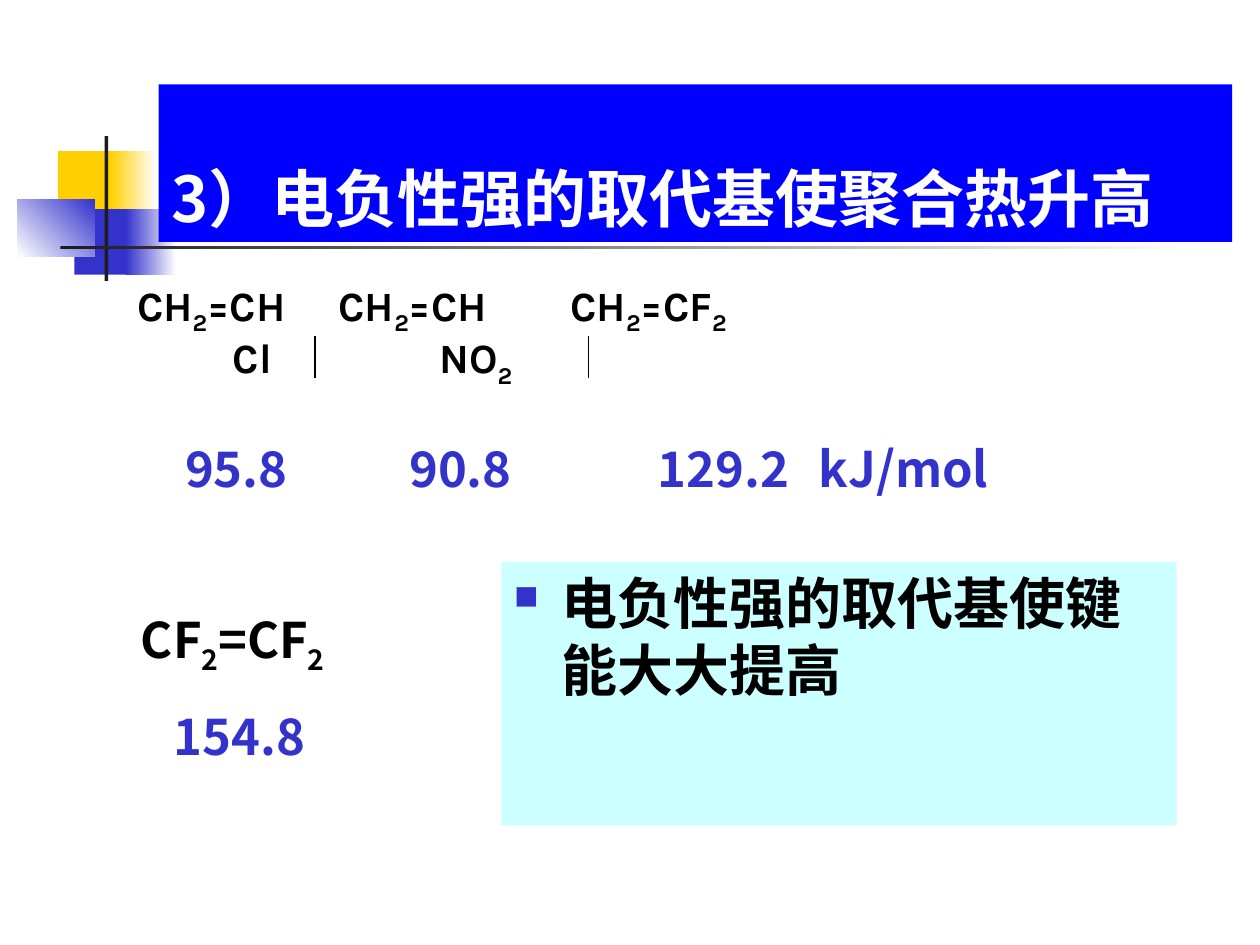
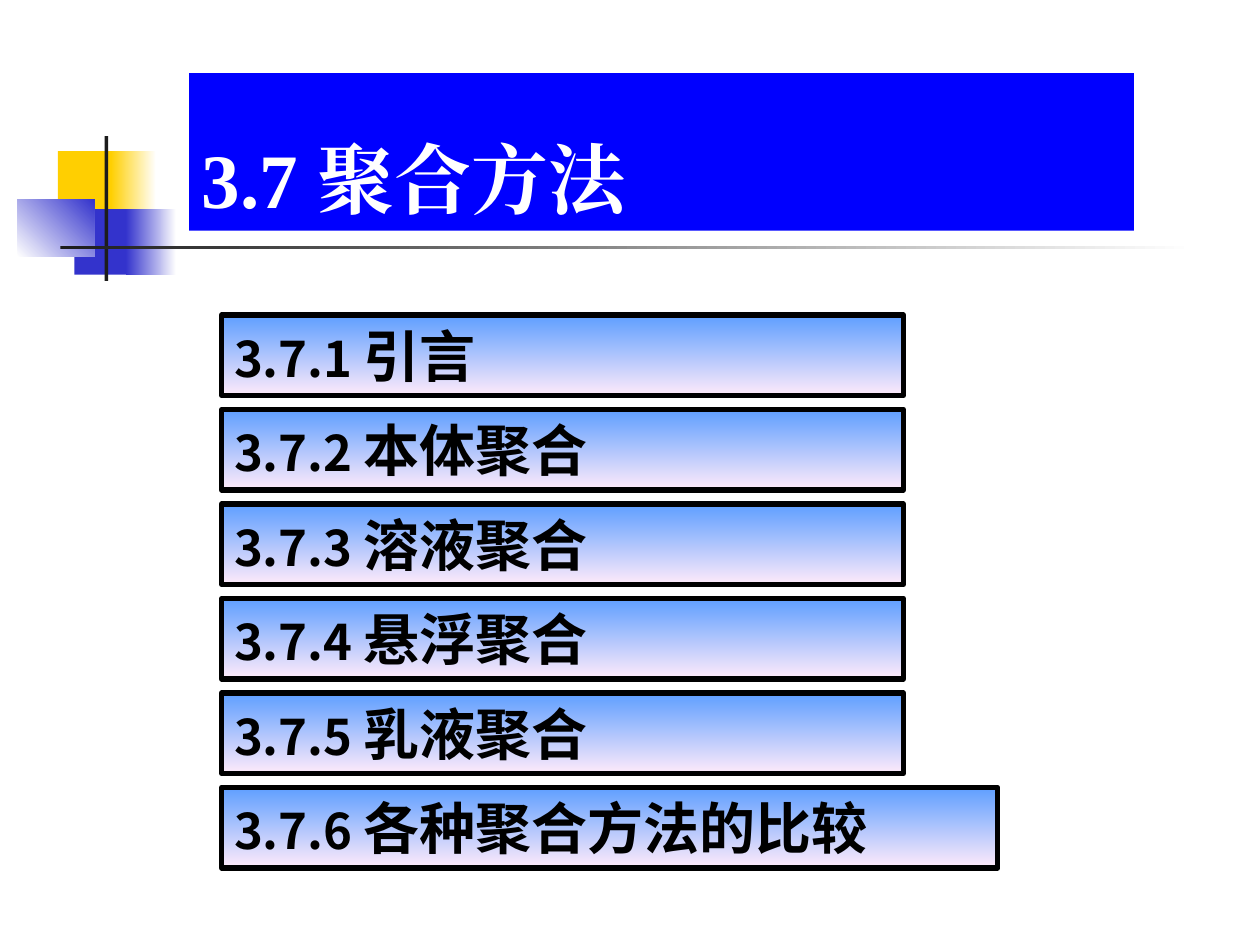
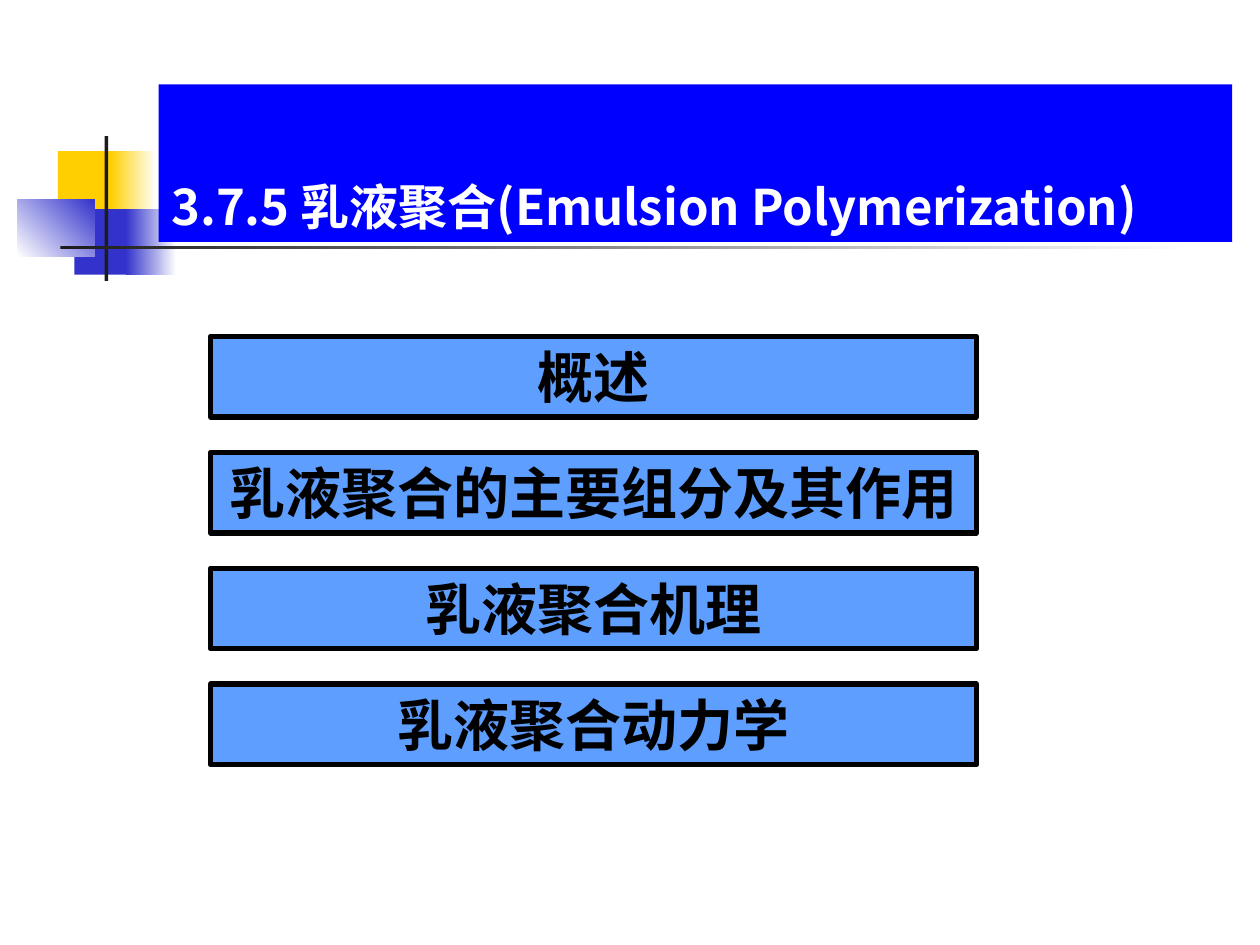
from dataclasses import dataclass

from lxml.etree import SubElement
from pptx import Presentation
from pptx.dml.color import RGBColor
from pptx.enum.shapes import MSO_CONNECTOR, MSO_SHAPE
from pptx.enum.text import MSO_ANCHOR, MSO_AUTO_SIZE, PP_ALIGN
from pptx.oxml.ns import qn
from pptx.util import Inches, Pt


@dataclass(frozen=True)
class Theme:
    white: str = "FFFFFF"
    black: str = "000000"
    charcoal: str = "1C1C1C"
    yellow: str = "FFCF01"
    indigo: str = "3333CC"
    title_blue: str = "0000FF"
    sky: str = "5E9EFF"
    blush: str = "FFEBFA"
    aqua: str = "CCFFFF"
    sans: str = "Noto Sans CJK SC"
    figures: str = "Noto Sans CJK JP"
    formula: str = "Karla"
    serif: str = "Times New Roman"
    formula_size: float = 23.8
    number_size: int = 28
    item_size: int = 32
    title_size: int = 36
    chapter_size: int = 44


theme = Theme()


def write(paragraph, text, size=theme.item_size, color=theme.black, font=theme.sans,
          align=PP_ALIGN.LEFT, before=0, line_spacing=None, tabs=()):
    """Add bold text to a paragraph; parts between bars are subscripts."""
    paragraph.alignment = align
    paragraph.space_before = Pt(before)
    if line_spacing:
        paragraph.line_spacing = line_spacing
    if tabs:
        tab_list = SubElement(paragraph._p.get_or_add_pPr(), qn("a:tabLst"))
        for position in tabs:
            SubElement(tab_list, qn("a:tab"), pos=str(Inches(position)), algn="l")
    for index, part in enumerate(text.split("|")):
        if not part:
            continue
        run = paragraph.add_run()
        run.text = part
        run.font.size = Pt(size)
        run.font.bold = True
        run.font.name = font
        run.font.color.rgb = RGBColor.from_string(color)
        SubElement(run.font._element, qn("a:ea"), typeface=font)
        if index % 2:
            run.font._element.set("baseline", "-25000")


def add_box(slide, left, top, width, height, colors, angle=0, border=None):
    """Add a rectangle filled with one colour or a two-colour gradient."""
    box = slide.shapes.add_shape(MSO_SHAPE.RECTANGLE, Inches(left), Inches(top),
                                 Inches(width), Inches(height))
    box.shadow.inherit = False
    if len(colors) == 1:
        box.fill.solid()
        box.fill.fore_color.rgb = RGBColor.from_string(colors[0])
    else:
        box.fill.gradient()
        box.fill.gradient_angle = angle
        for stop, color in zip(box.fill.gradient_stops, colors):
            stop.color.rgb = RGBColor.from_string(color)
    if border:
        box.line.color.rgb = RGBColor.from_string(theme.black)
        box.line.width = Pt(border)
    else:
        box.line.fill.background()
    box.text_frame.word_wrap = True
    box.text_frame.vertical_anchor = MSO_ANCHOR.TOP
    return box


presentation = Presentation()
presentation.slide_width = Inches(10)
presentation.slide_height = Inches(7.5)

# Slides with their title bands
wide_band = (1.26, 0.67, 8.52, 1.25)
chapter_band = (1.5, 0.58, 7.5, 1.25)
titles = [
    ("3）电负性强的取代基使聚合热升高", theme.title_size, theme.sans, wide_band),
    ("3.7 聚合方法", theme.chapter_size, theme.serif, chapter_band),
    ("3.7.5 乳液聚合(Emulsion Polymerization)", theme.number_size, theme.sans, wide_band),
]
for text, size, font, band in titles:
    slide = presentation.slides.add_slide(presentation.slide_layouts[5])
    title = slide.shapes.title
    title.left, title.top, title.width, title.height = map(Inches, band)
    title.fill.solid()
    title.fill.fore_color.rgb = RGBColor.from_string(theme.title_blue)
    title.text_frame.auto_size = MSO_AUTO_SIZE.NONE
    title.text_frame.vertical_anchor = MSO_ANCHOR.BOTTOM
    write(title.text_frame.paragraphs[0], text, size, theme.white, font)
heat_slide, methods_slide, emulsion_slide = presentation.slides

# Shared ornament, moved to the slide master
ornament = [
    (0.46, 1.2, 0.48, 0.52, [theme.yellow], 0),
    (0.88, 1.2, 0.36, 0.52, [theme.yellow, theme.white], 0),
    (0.59, 1.66, 0.46, 0.52, [theme.indigo], 0),
    (1, 1.66, 0.4, 0.52, [theme.indigo, theme.white], 0),
    (0.14, 1.58, 0.61, 0.46, [theme.white, theme.indigo], 45),
    (0.83, 1.08, 0.03, 1.15, [theme.charcoal], 0),
    (0.48, 1.95, 9, 0.03, [theme.charcoal, theme.white], 0),
]
master_tree = presentation.slide_master.shapes.element
for index, piece in enumerate(ornament):
    block = add_box(heat_slide, *piece)
    block.element.nvSpPr.cNvPr.set("id", str(100 + index))
    master_tree.insert(2 + index, block.element)

# Slide 1: monomer formulas and their heats of polymerization
formulas = heat_slide.shapes.add_textbox(Inches(0.58), Inches(2.25), Inches(8.83), Inches(1.25))
formula_rows = [
    ("\tCH|2|=CH\tCH|2|=CH\tCH|2|=CF|2|", 0, (0.41, 2.01, 3.85)),
    ("\tCl\tNO|2|", 7, (1.17, 2.81)),
]
heats = heat_slide.shapes.add_textbox(Inches(0.42), Inches(3.43), Inches(9.08), Inches(2.76))
heat_rows = [
    ("\t95.8\t90.8\t129.2\tkJ/mol", theme.indigo, 0, (0.95, 2.73, 4.7, 5.98)),
    ("\tCF|2|=CF|2|", theme.black, 64, (0.6,)),
    ("\t154.8", theme.indigo, 17.5, (0.86,)),
]
for box in (formulas, heats):
    box.text_frame.word_wrap = True
for index, (text, before, tabs) in enumerate(formula_rows):
    frame = formulas.text_frame
    paragraph = frame.add_paragraph() if index else frame.paragraphs[0]
    write(paragraph, text, theme.formula_size, font=theme.formula,
          before=before, line_spacing=0.7, tabs=tabs)
for index, (text, color, before, tabs) in enumerate(heat_rows):
    frame = heats.text_frame
    paragraph = frame.add_paragraph() if index else frame.paragraphs[0]
    write(paragraph, text, theme.number_size, color, theme.figures, before=before, tabs=tabs)

# Slide 1: bonds
for x in (2.5, 4.67):
    bond = heat_slide.shapes.add_connector(MSO_CONNECTOR.STRAIGHT, Inches(x), Inches(2.67),
                                           Inches(x), Inches(3))
    bond.line.color.rgb = RGBColor.from_string(theme.black)
    bond.line.width = Pt(0.75)
    SubElement(bond._element.spPr, qn("a:effectLst"))

# Slide 1: conclusion with a square bullet
conclusion = add_box(heat_slide, 3.98, 4.46, 5.36, 2.09, [theme.aqua])
paragraph = conclusion.text_frame.paragraphs[0]
properties = paragraph._p.get_or_add_pPr()
properties.set("marL", str(Inches(0.38)))
properties.set("indent", str(-Inches(0.38)))
bullet_color = SubElement(properties, qn("a:buClr"))
SubElement(bullet_color, qn("a:srgbClr"), val=theme.indigo)
SubElement(properties, qn("a:buSzPct"), val="60000")
SubElement(properties, qn("a:buChar"), char="■")
write(paragraph, "电负性强的取代基使键能大大提高", font=theme.formula)

# Slide 2: sections of the chapter
sections = ["引言", "本体聚合", "溶液聚合", "悬浮聚合", "乳液聚合", "各种聚合方法的比较"]
for row, section in enumerate(sections):
    width = 6.16 if section == sections[-1] else 5.41
    box = add_box(methods_slide, 1.76, 2.5 + 0.75 * row, width, 0.64,
                  [theme.sky, theme.blush], angle=270, border=3)
    paragraph = box.text_frame.paragraphs[0]
    write(paragraph, f"3.7.{row + 1} ", theme.number_size)
    write(paragraph, section)

# Slide 3: topics of emulsion polymerization
topics = ["概述", "乳液聚合的主要组分及其作用", "乳液聚合机理", "乳液聚合动力学"]
for row, topic in enumerate(topics):
    box = add_box(emulsion_slide, 1.67, 2.67 + 0.92 * row, 6.08, 0.64, [theme.sky], border=3)
    write(box.text_frame.paragraphs[0], topic, align=PP_ALIGN.CENTER)

presentation.save("out.pptx")
